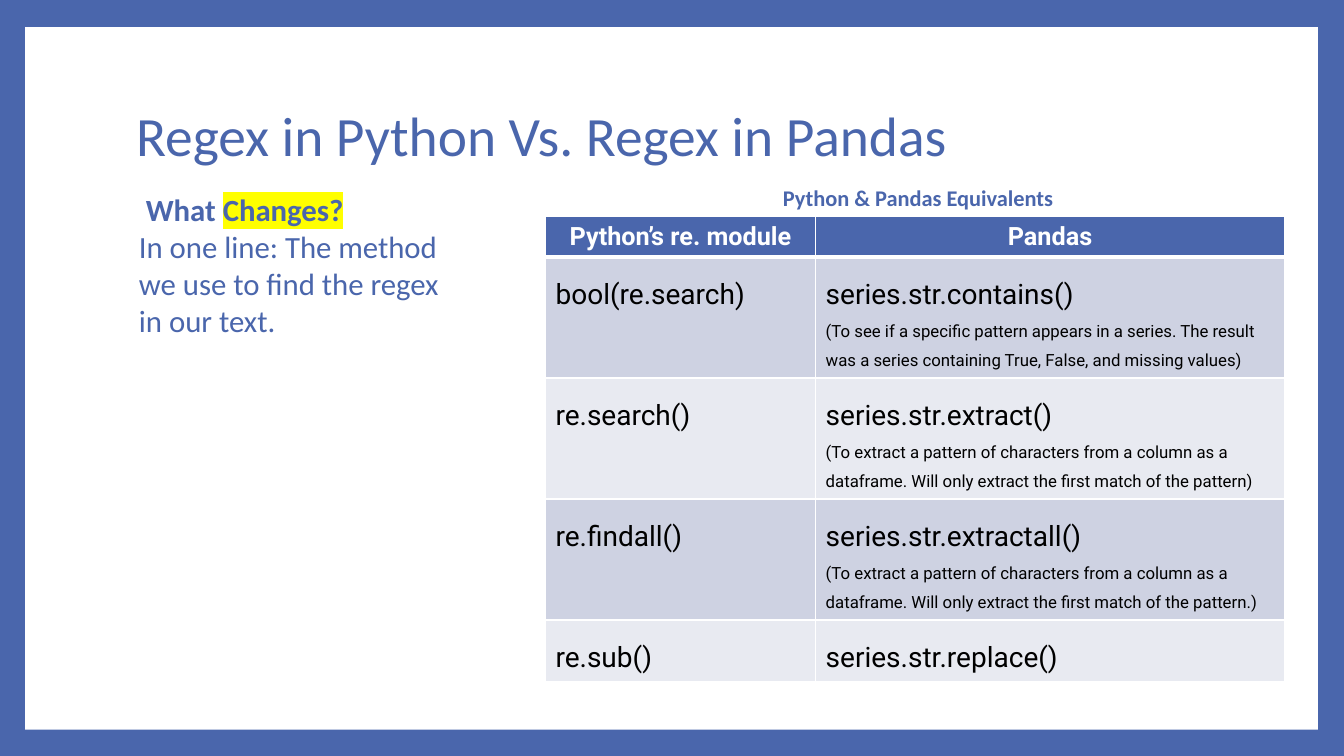
from dataclasses import dataclass

from lxml.etree import SubElement
from pptx import Presentation
from pptx.dml.color import RGBColor
from pptx.enum.shapes import MSO_SHAPE as Preset
from pptx.enum.text import MSO_ANCHOR as Anchor
from pptx.enum.text import MSO_AUTO_SIZE as AutoSize
from pptx.enum.text import PP_ALIGN as Align
from pptx.oxml import parse_xml
from pptx.oxml.ns import nsdecls, qn
from pptx.util import Inches, Pt

COLORS = {
    "blue": "4A66AC",
    "white": "FFFFFF",
    "black": "000000",
    "dark band": "CED2E2",
    "light band": "E8EAF1",
    "marker": "FFFF00",
}
TITLE = {"name": "Calibri", "size": Pt(39.6), "bold": False}
QUESTION = {"name": "Calibri", "size": Pt(22), "bold": True}
ANSWER = QUESTION | {"bold": False}
CAPTION = QUESTION | {"size": Pt(16)}
HEADING = {"name": "Roboto", "size": Pt(18), "bold": True}
METHOD = {"name": "Roboto", "size": Pt(20), "bold": False}
REMARK = METHOD | {"size": Pt(12)}


@dataclass(frozen=True)
class Equivalent:
    python: str
    pandas: str
    remark: str
    height: float


EXTRACT_REMARK = (
    "(To extract a pattern of characters from a column as a dataframe. "
    "Will only extract the first match of the pattern"
)
EQUIVALENTS = [
    Equivalent("bool(re.search)", "series.str.contains()",
               "(To see if a specific pattern appears in a series. The result was "
               "a series containing True, False, and missing values)", 1.2),
    Equivalent("re.search()", "series.str.extract()", EXTRACT_REMARK + ")", 1.2),
    Equivalent("re.findall()", "series.str.extractall()", EXTRACT_REMARK + ".)", 1.2),
    Equivalent("re.sub()", "series.str.replace()", "", 0.61),
]
HEADINGS = ["Python’s re. module", "Pandas"]
HEADING_HEIGHT = 0.4
COLUMN_WIDTHS = [2.68, 4.65]


def rgb(color: str) -> RGBColor:
    return RGBColor.from_string(COLORS[color])


def add_run(paragraph, text: str, style: dict, color: str = "blue"):
    run = paragraph.add_run()
    run.text = text
    run.font.color.rgb = rgb(color)
    for attribute, value in style.items():
        setattr(run.font, attribute, value)
    return run


def highlight(run, color: str) -> None:
    mark = parse_xml(f'<a:highlight {nsdecls("a")}><a:srgbClr val="{COLORS[color]}"/></a:highlight>')
    run.font._element.find(qn("a:solidFill")).addnext(mark)


def add_text_frame(slide, left: float, top: float, width: float, height: float):
    frame = slide.shapes.add_textbox(*map(Inches, (left, top, width, height))).text_frame
    frame.word_wrap = True
    return frame


def style_cell(cell, fill: str, bottom_width: float = 1) -> None:
    """Draw white borders, then fill the cell, in the order the schema asks for."""
    properties = cell._tc.get_or_add_tcPr()
    for side, width in {"L": 1, "R": 1, "T": 1, "B": bottom_width}.items():
        border = SubElement(properties, qn(f"a:ln{side}"), w=str(Pt(width)))
        SubElement(SubElement(border, qn("a:solidFill")), qn("a:srgbClr"), val=COLORS["white"])
    cell.fill.solid()
    cell.fill.fore_color.rgb = rgb(fill)


def add_lines(cell, lines: list[tuple[str, dict]]) -> None:
    for index, (text, style) in enumerate(lines):
        frame = cell.text_frame
        paragraph = frame.add_paragraph() if index else frame.paragraphs[0]
        paragraph.line_spacing = 1.5
        add_run(paragraph, text, style, "black")


def add_background(slide) -> None:
    slide.background.fill.solid()
    slide.background.fill.fore_color.rgb = rgb("blue")
    panel = slide.shapes.add_shape(Preset.RECTANGLE, *map(Inches, (0.25, 0.27, 12.82, 6.97)))
    panel.shadow.inherit = False
    panel.fill.solid()
    panel.fill.fore_color.rgb = rgb("white")
    panel.line.fill.background()


def add_title(slide) -> None:
    title = slide.shapes.title
    place = {"left": 1.25, "top": 0.67, "width": 10.8, "height": 1.4}
    for attribute, value in place.items():
        setattr(title, attribute, Inches(value))
    frame = title.text_frame
    frame.auto_size = AutoSize.NONE
    frame.vertical_anchor = Anchor.MIDDLE
    paragraph = frame.paragraphs[0]
    paragraph.alignment = Align.LEFT
    paragraph.line_spacing = 0.9
    add_run(paragraph, "Regex in Python Vs. Regex in Pandas", TITLE)
    # The title stands in front of the white panel.
    slide.shapes._spTree.append(title._element)


def add_changes(slide) -> None:
    frame = add_text_frame(slide, 1.28, 1.84, 3.26, 3.8)
    question = frame.paragraphs[0]
    add_run(question, " What ", QUESTION)
    highlight(add_run(question, "Changes?", QUESTION), "marker")
    add_run(frame.add_paragraph(),
            "In one line: The method we use to find the regex in our text.", ANSWER)


def add_equivalents(slide) -> None:
    heights = [HEADING_HEIGHT] + [row.height for row in EQUIVALENTS]
    place = (5.41, 2.15, sum(COLUMN_WIDTHS), sum(heights))
    table = slide.shapes.add_table(
        len(heights), len(COLUMN_WIDTHS), *map(Inches, place)).table
    table.horz_banding = False
    for column, width in zip(table.columns, COLUMN_WIDTHS):
        column.width = Inches(width)
    for row, height in zip(table.rows, heights):
        row.height = Inches(height)

    for column, heading in enumerate(HEADINGS):
        cell = table.cell(0, column)
        style_cell(cell, "blue", bottom_width=3)
        paragraph = cell.text_frame.paragraphs[0]
        paragraph.alignment = Align.CENTER
        add_run(paragraph, heading, HEADING, "white")

    for index, row in enumerate(EQUIVALENTS, start=1):
        pandas_lines = [(row.pandas, METHOD)]
        if row.remark:
            pandas_lines.append((row.remark, REMARK))
        for column, lines in enumerate([[(row.python, METHOD)], pandas_lines]):
            cell = table.cell(index, column)
            style_cell(cell, "dark band" if index % 2 else "light band",
                       bottom_width=1)
            if index == 1:
                cell._tc.tcPr.find(qn("a:lnT")).set("w", str(Pt(3)))
            add_lines(cell, lines)


def add_caption(slide) -> None:
    caption = add_text_frame(slide, 6.47, 1.78, 5.22, 0.37).paragraphs[0]
    caption.alignment = Align.CENTER
    add_run(caption, " Python & Pandas Equivalents", CAPTION)


def main() -> None:
    deck = Presentation()
    deck.slide_width, deck.slide_height = Inches(13.33), Inches(7.5)
    slide = deck.slides.add_slide(deck.slide_layouts.get_by_name("Title Only"))
    for add_part in (add_background, add_title, add_changes, add_equivalents, add_caption):
        add_part(slide)
    deck.save("out.pptx")


if __name__ == "__main__":
    main()
